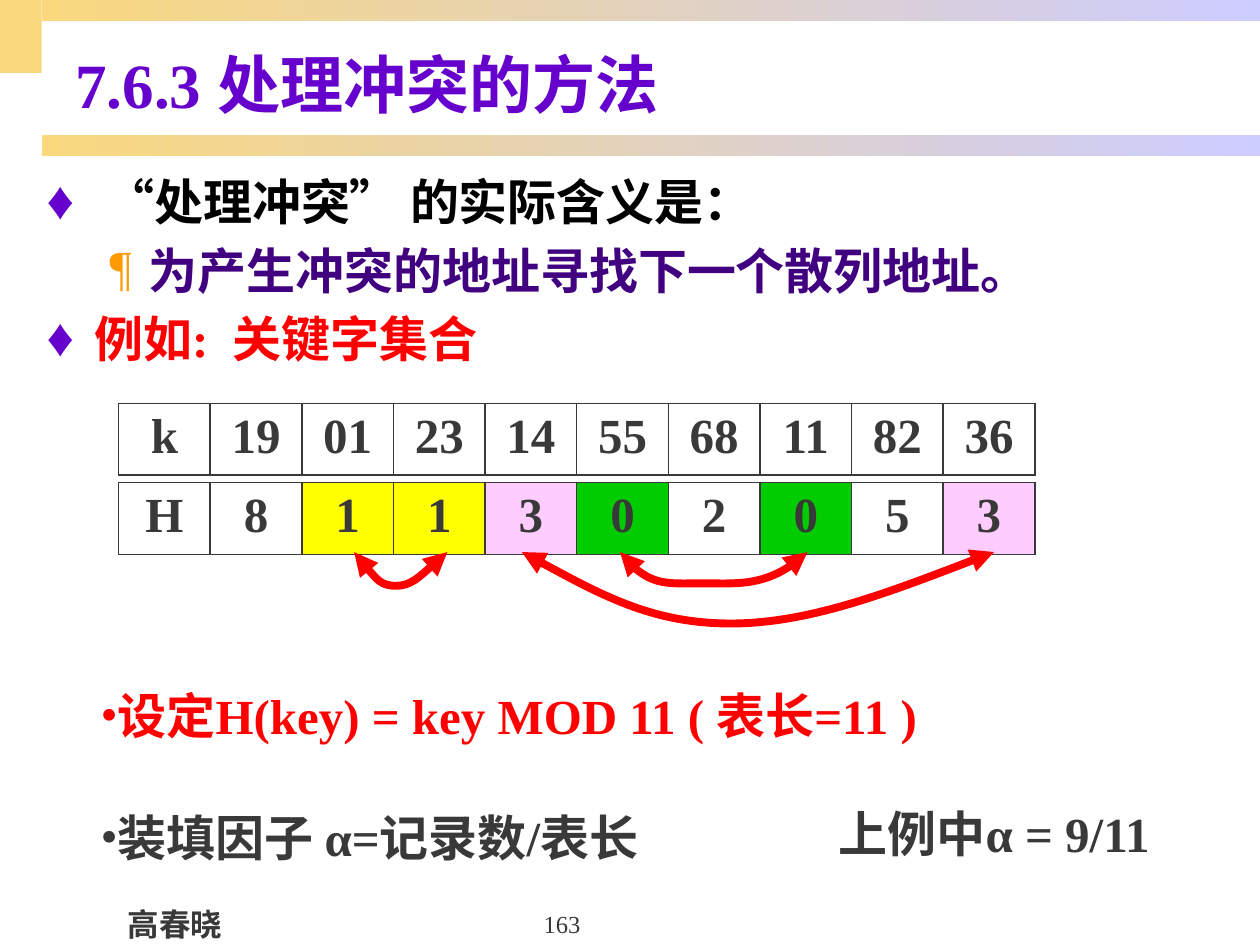
from lxml import etree
from pptx import Presentation
from pptx.dml.color import RGBColor
from pptx.enum.shapes import MSO_SHAPE
from pptx.enum.text import MSO_ANCHOR, PP_ALIGN
from pptx.oxml.ns import qn
from pptx.util import Cm, Pt

GOLD = RGBColor(0xF9, 0xD8, 0x7E)
LAVENDER = RGBColor(0xCC, 0xCC, 0xFF)
VIOLET = RGBColor(0x66, 0x00, 0xCC)
INDIGO = RGBColor(0x40, 0x00, 0x80)
ORANGE = RGBColor(0xFF, 0x99, 0x00)
BLACK = RGBColor(0x00, 0x00, 0x00)
GREY = RGBColor(0x39, 0x39, 0x39)
RED = RGBColor(0xFF, 0x00, 0x00)
YELLOW = RGBColor(0xFF, 0xFF, 0x00)
PINK = RGBColor(0xFF, 0xCC, 0xFF)
GREEN = RGBColor(0x00, 0xCC, 0x00)

SERIF = "Times New Roman"
SANS = "Noto Sans CJK SC"

# Bullets: character, colour, size %, left margin cm, hanging indent cm
DIAMOND = ("♦", VIOLET, 110, 0.96, 0.96)
PILCROW = ("¶", ORANGE, 100, 2.06, 0.79)

# Left, top, width, height in cm
BANDS = [(0.84, 2.72, 24.56, 0.43), (0.84, 0, 24.56, 0.43)]
CORNER = (0, 0, 0.84, 1.47)

# Place, lines of (text, colour, bullet), options
TEXTS = [
    ((2.31, 18.11, 2.44, 1.02), [("高春晓", GREY, None)],
     dict(size=18, face=SANS, align=PP_ALIGN.CENTER, wrap=False)),
    ((1.27, 0.64, 24.13, 2.08), [("7.6.3 处理冲突的方法", VIOLET, None)],
     dict(size=36, anchor=MSO_ANCHOR.MIDDLE)),
    ((0.69, 3.33, 24, 15.09),
     [(" “处理冲突” 的实际含义是：", BLACK, DIAMOND),
      ("为产生冲突的地址寻找下一个散列地址。", INDIGO, PILCROW),
      ("例如:  关键字集合", RED, DIAMOND)], {}),
    ((8.69, 17.78, 5.28, 1.27), [("163", GREY, None)],
     dict(size=14, bold=False, align=PP_ALIGN.CENTER, anchor=MSO_ANCHOR.BOTTOM)),
    ((1.78, 13.69, 21.36, 1.45),
     [("设定H(key) = key MOD 11 ( 表长=11 )", RED, ("•", RED, 100, 0, 0))], {}),
    ((1.78, 16.15, 21.36, 1.45),
     [("装填因子 α=记录数/表长", GREY, ("•", GREY, 100, 0, 0))], {}),
    ((16.66, 16.08, 6.86, 1.45), [("上例中α = 9/11", GREY, None)], {}),
]

TABLE_LEFT, TABLE_WIDTH, ROW_HEIGHT = 2.39, 18.47, 1.45
# Top in cm, cell values, fill by column
TABLES = [
    (8.13, ["k", "19", "01", "23", "14", "55", "68", "11", "82", "36"], {}),
    (9.73, ["H", "8", "1", "1", "3", "0", "2", "0", "5", "3"],
     {2: YELLOW, 3: YELLOW, 4: PINK, 5: GREEN, 7: GREEN, 9: PINK}),
]

# Start point, then control, control, end for each of two curves, in cm
COLLISION_ARCS = [
    [(7.14, 11.13), (7.39, 11.46), (7.67, 11.81), (7.98, 11.81),
     (8.28, 11.81), (8.66, 11.46), (9.02, 11.13)],
    [(12.5, 11.13), (13.03, 11.84), (13.54, 11.76), (14.17, 11.76),
     (14.81, 11.76), (15.54, 11.84), (16.28, 11.13)],
    [(10.52, 11.13), (11.84, 11.84), (13.13, 12.57), (14.73, 12.57),
     (16.31, 12.57), (18.19, 11.84), (20.04, 11.13)],
]


def lengths(values):
    return [Cm(value) for value in values]


def add_child(parent, tag, **attributes):
    return etree.SubElement(parent, qn(tag), attributes)


def add_band(page, place):
    band = page.shapes.add_shape(MSO_SHAPE.RECTANGLE, *lengths(place))
    band.shadow.inherit = False
    band.line.fill.background()
    return band


def set_bullet(para, bullet):
    char, color, percent, margin, hanging = bullet
    properties = para._p.get_or_add_pPr()
    properties.set("marL", str(Cm(margin)))
    properties.set("indent", str(-Cm(hanging)))
    add_child(add_child(properties, "a:buClr"), "a:srgbClr", val=str(color))
    add_child(properties, "a:buSzPct", val=str(percent * 1000))
    add_child(properties, "a:buFont", typeface=SERIF)
    add_child(properties, "a:buChar", char=char)


def set_font(para, color, size=28, face=SERIF, bold=True):
    font = para.font
    font.name, font.size, font.bold = face, Pt(size), bold
    font.color.rgb = color


def add_text(page, place, lines, align=None, anchor=MSO_ANCHOR.TOP, wrap=True, **style):
    frame = page.shapes.add_textbox(*lengths(place)).text_frame
    frame.word_wrap = wrap
    frame.vertical_anchor = anchor
    for index, (text, color, bullet) in enumerate(lines):
        para = frame.add_paragraph() if index else frame.paragraphs[0]
        para.text = text
        para.alignment = align
        if index:
            para.space_before = Pt(5.6)
        if bullet:
            set_bullet(para, bullet)
        set_font(para, color, **style)


def set_borders(cell):
    properties = cell._tc.get_or_add_tcPr()
    for index, side in enumerate(("a:lnL", "a:lnR", "a:lnT", "a:lnB")):
        line = etree.Element(qn(side), w=str(Pt(1)))
        add_child(add_child(line, "a:solidFill"), "a:srgbClr", val=str(GREY))
        properties.insert(index, line)


def add_row_table(page, top, values, fills):
    place = lengths((TABLE_LEFT, top, TABLE_WIDTH, ROW_HEIGHT))
    table = page.shapes.add_table(1, len(values), *place).table
    table.first_row = table.horz_banding = False
    for column, value in enumerate(values):
        cell = table.cell(0, column)
        if column in fills:
            cell.fill.solid()
            cell.fill.fore_color.rgb = fills[column]
        else:
            cell.fill.background()
        set_borders(cell)
        para = cell.text_frame.paragraphs[0]
        para.text = value
        para.alignment = PP_ALIGN.CENTER
        set_font(para, GREY)


def add_arc(page, points):
    """Draw a double-headed Bezier curve through groups of three points."""
    start, *rest = [lengths(point) for point in points]
    builder = page.shapes.build_freeform(*start)
    builder.add_line_segments(rest, close=False)
    arc = builder.convert_to_shape()
    outline = next(arc._element.iter(qn("a:path")))
    segments = outline.findall(qn("a:lnTo"))
    for first in range(0, len(segments), 3):
        curve = add_child(outline, "a:cubicBezTo")
        for segment in segments[first:first + 3]:
            curve.append(segment[0])
            outline.remove(segment)
    arc.shadow.inherit = False
    arc.fill.background()
    arc.line.color.rgb = RED
    arc.line.width = Pt(4.5)
    line = arc.line._get_or_add_ln()
    for end in ("a:headEnd", "a:tailEnd"):
        add_child(line, end, type="triangle")


def main():
    deck = Presentation()
    deck.slide_width, deck.slide_height = lengths((25.4, 19.05))
    page = deck.slides.add_slide(deck.slide_layouts[6])

    corner = add_band(page, CORNER)
    corner.fill.solid()
    corner.fill.fore_color.rgb = GOLD
    for place in BANDS:
        fill = add_band(page, place).fill
        fill.gradient()
        fill.gradient_angle = 0
        for stop, color, position in zip(fill.gradient_stops, (GOLD, LAVENDER), (0, 1)):
            stop.color.rgb = color
            stop.position = position

    for place, lines, options in TEXTS:
        add_text(page, place, lines, **options)
    for top, values, fills in TABLES:
        add_row_table(page, top, values, fills)
    for points in COLLISION_ARCS:
        add_arc(page, points)
    deck.save("out.pptx")


if __name__ == "__main__":
    main()
